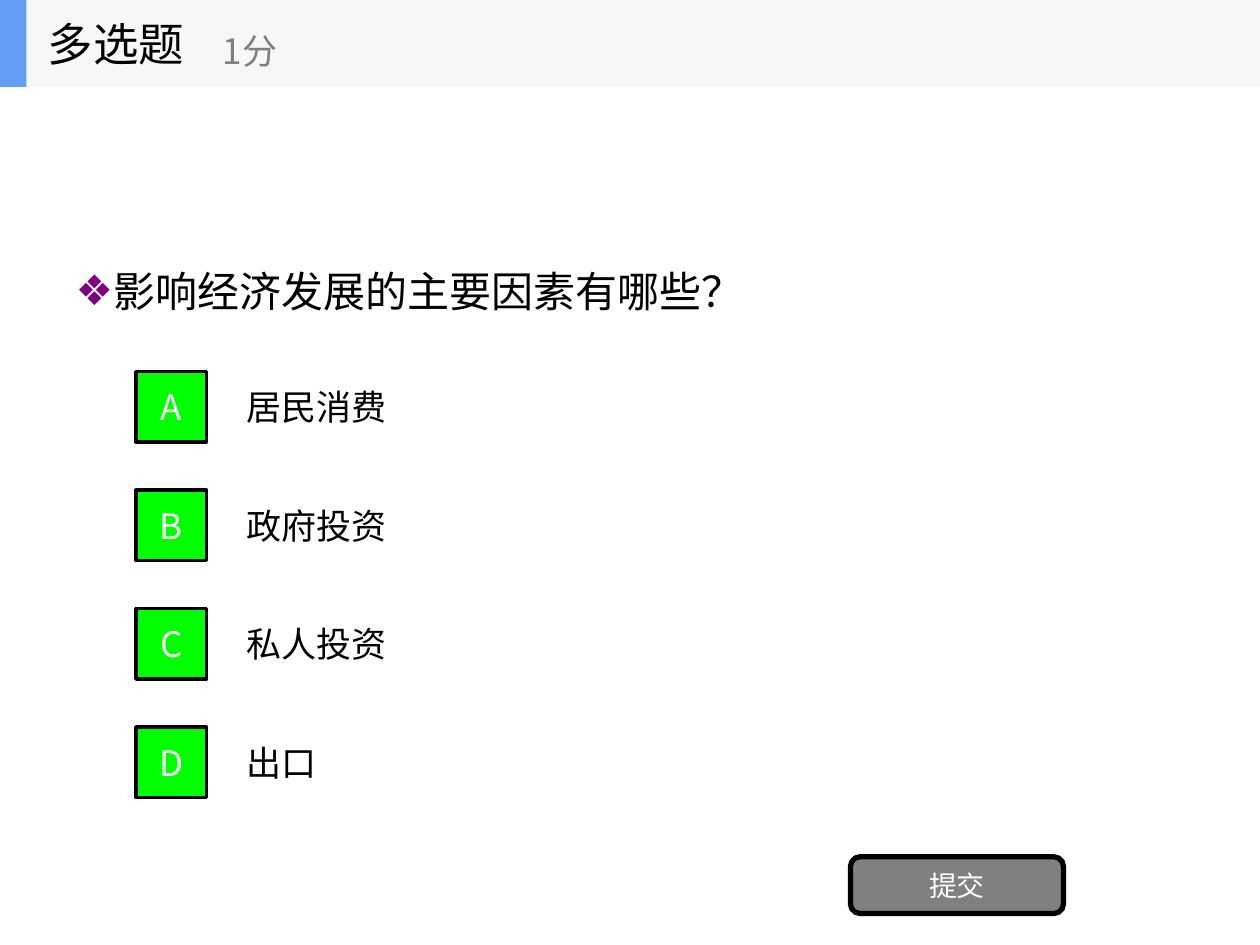
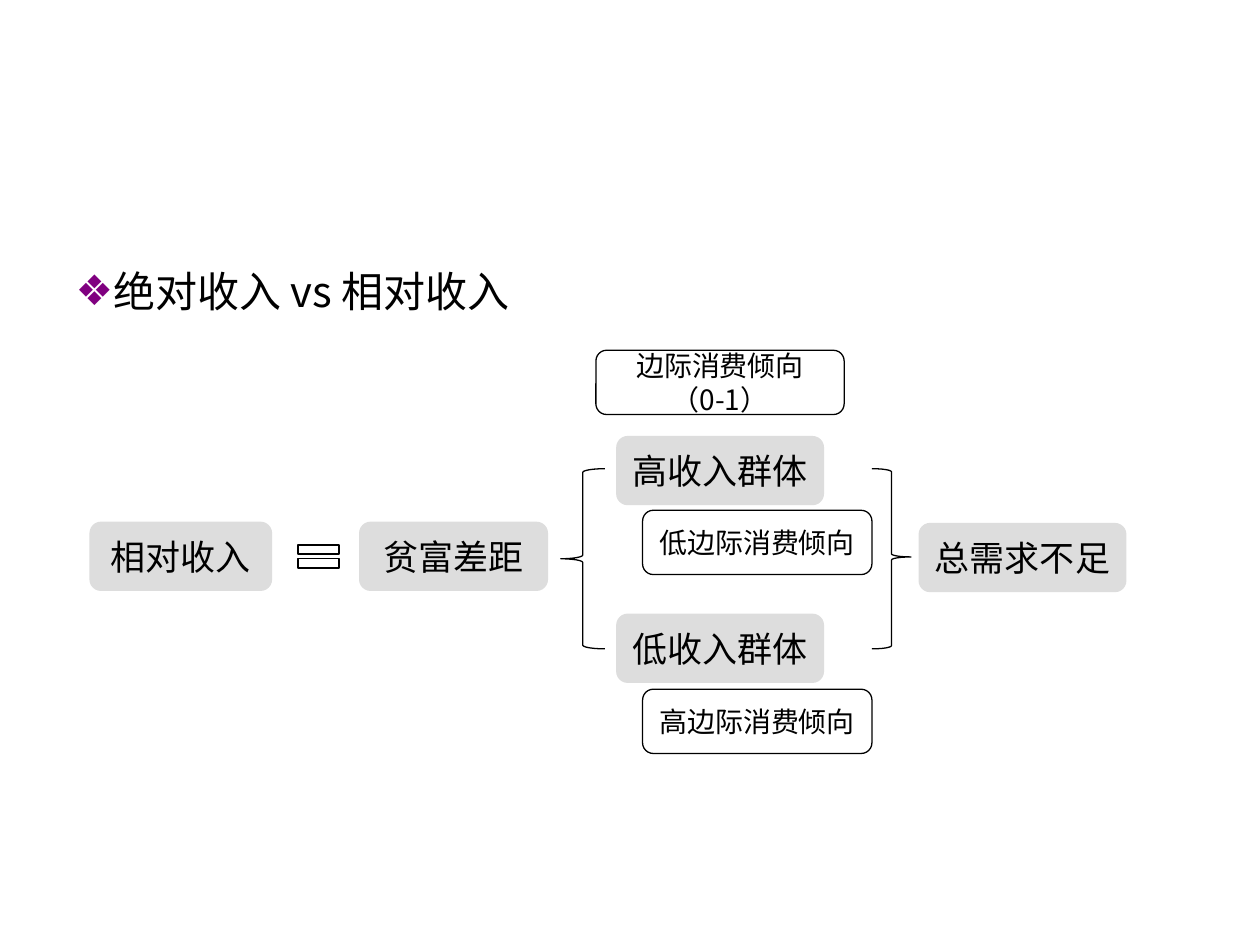
from lxml import etree
from pptx import Presentation
from pptx.dml.color import RGBColor
from pptx.enum import shapes, text
from pptx.oxml.ns import qn
from pptx.util import Pt

PX = 9144  # 100 px to the inch
KIND = shapes.MSO_SHAPE
ALIGN = text.PP_ALIGN


class Theme:
    font = "Noto Sans CJK SC"
    black, white, grey = "000000", "FFFFFF", "808080"
    band, accent, green = "F6F7F8", "639EF4", "00FF00"
    bullet, soft = "800080", "DDDDDD"
    title, head, main, note = 26, 24, 20, 16


QUIZ = {
    "title": "多选题",
    "score": "1分",
    "ask": "影响经济发展的主要因素有哪些？",
    "picks": [("A", "居民消费"), ("B", "政府投资"), ("C", "私人投资"), ("D", "出口")],
    "send": "提交",
}
FLOW = {
    "head": "绝对收入 vs 相对收入",
    "nodes": [
        ("相对收入", (71, 414, 145, 55)),
        ("贫富差距", (285, 414, 150, 55)),
        ("高收入群体", (489, 346, 165, 55)),
        ("低收入群体", (489, 487, 165, 55)),
        ("总需求不足", (729, 415, 165, 55)),
    ],
    "notes": [
        ("边际消费倾向（0-1）", (473, 278, 197, 51)),
        ("低边际消费倾向", (510, 405, 182, 51)),
        ("高边际消费倾向", (510, 547, 182, 51)),
    ],
    "signs": [
        (KIND.MATH_EQUAL, (231, 426, 44, 31), 1, ()),
        (KIND.LEFT_BRACE, (445, 372, 35, 143), 0.75, ()),
        (KIND.RIGHT_BRACE, (692, 372, 31, 143), 0.75, (0.08, 0.49)),
    ],
}


def emu(box):
    return [n * PX for n in box]


def rgb(code):
    return RGBColor.from_string(code)


def style(para, size, color, align):
    para.alignment = align
    font = para.font
    font.size, font.name, font.bold = Pt(size), Theme.font, False
    font.color.rgb = rgb(color)
    # East Asian glyphs take their own typeface entry
    props = para._p.get_or_add_pPr().find(qn("a:defRPr"))
    etree.SubElement(props, qn("a:ea"), typeface=Theme.font)


def write(shape, words, size, color=Theme.black, align=ALIGN.LEFT,
          anchor=text.MSO_ANCHOR.MIDDLE):
    frame = shape.text_frame
    frame.text = words
    frame.word_wrap = True
    frame.auto_size = text.MSO_AUTO_SIZE.NONE
    frame.vertical_anchor = anchor
    style(frame.paragraphs[0], size, color, align)


def place(shape, box):
    shape.left, shape.top, shape.width, shape.height = emu(box)


def label(slide, box, words, size, color=Theme.black):
    write(slide.shapes.add_textbox(*emu(box)), words, size, color)


def draw(slide, kind, box, fill=None, line=None, width=1):
    shape = slide.shapes.add_shape(kind, *emu(box))
    shape.shadow.inherit = False
    if fill:
        shape.fill.solid()
        shape.fill.fore_color.rgb = rgb(fill)
    else:
        shape.fill.background()
    if line:
        shape.line.color.rgb = rgb(line)
        shape.line.width = Pt(width)
    else:
        shape.line.fill.background()
    return shape


def lead(slide, words):
    """Fill the body with the bulleted line that opens a slide."""
    body = slide.placeholders[1]
    place(body, (50, 186, 900, 514))
    body.text_frame.text = words
    para = body.text_frame.paragraphs[0]
    props = para._p.get_or_add_pPr()
    props.set("marL", str(28 * PX))
    props.set("indent", str(-28 * PX))
    tint = etree.SubElement(props, qn("a:buClr"))
    etree.SubElement(tint, qn("a:srgbClr"), val=Theme.bullet)
    etree.SubElement(props, qn("a:buChar"), char="❖")
    para.line_spacing, para.space_before = 1.5, Pt(0)
    body.text_frame.auto_size = text.MSO_AUTO_SIZE.NONE
    body.text_frame.vertical_anchor = text.MSO_ANCHOR.TOP
    style(para, Theme.head, Theme.black, ALIGN.LEFT)


def quiz(slide):
    lead(slide, QUIZ["ask"])
    for row, (key, words) in enumerate(QUIZ["picks"]):
        top = 288 + 94 * row
        label(slide, (186, top, 700, 70), words, Theme.main)
        tile = draw(slide, KIND.RECTANGLE, (108, top + 7, 56, 56),
                    Theme.green, Theme.black, 2)
        write(tile, key, Theme.main, Theme.white, ALIGN.CENTER)
    send = draw(slide, KIND.ROUNDED_RECTANGLE, (675, 680, 169, 45),
                Theme.grey, Theme.black, 3)
    write(send, QUIZ["send"], Theme.note, Theme.white, ALIGN.CENTER)

    draw(slide, KIND.RECTANGLE, (0, 0, 1000, 69), Theme.band)
    draw(slide, KIND.RECTANGLE, (0, 0, 21, 69), Theme.accent)
    title = slide.shapes.title
    place(title, (28, 0, 208, 69))
    write(title, QUIZ["title"], Theme.title)
    slide.shapes.element.append(title.element)  # bring above the band
    label(slide, (167, 12, 250, 56), QUIZ["score"], Theme.main, Theme.grey)


def flow(slide):
    title = slide.shapes.title.element
    title.getparent().remove(title)
    lead(slide, FLOW["head"])
    for words, box in FLOW["nodes"]:
        node = draw(slide, KIND.ROUNDED_RECTANGLE, box, Theme.soft)
        write(node, words, Theme.main, align=ALIGN.CENTER)
    for words, box in FLOW["notes"]:
        note = draw(slide, KIND.ROUNDED_RECTANGLE, box, None, Theme.black, 0.75)
        write(note, words, Theme.note, align=ALIGN.CENTER)
    for kind, box, width, bends in FLOW["signs"]:
        sign = draw(slide, kind, box, None, Theme.black, width)
        for spot, bend in enumerate(bends):
            sign.adjustments[spot] = bend


def main():
    deck = Presentation()
    deck.slide_width, deck.slide_height = emu((1000, 750))
    for build in (quiz, flow):
        build(deck.slides.add_slide(deck.slide_layouts[1]))
    deck.save("out.pptx")


if __name__ == "__main__":
    main()
